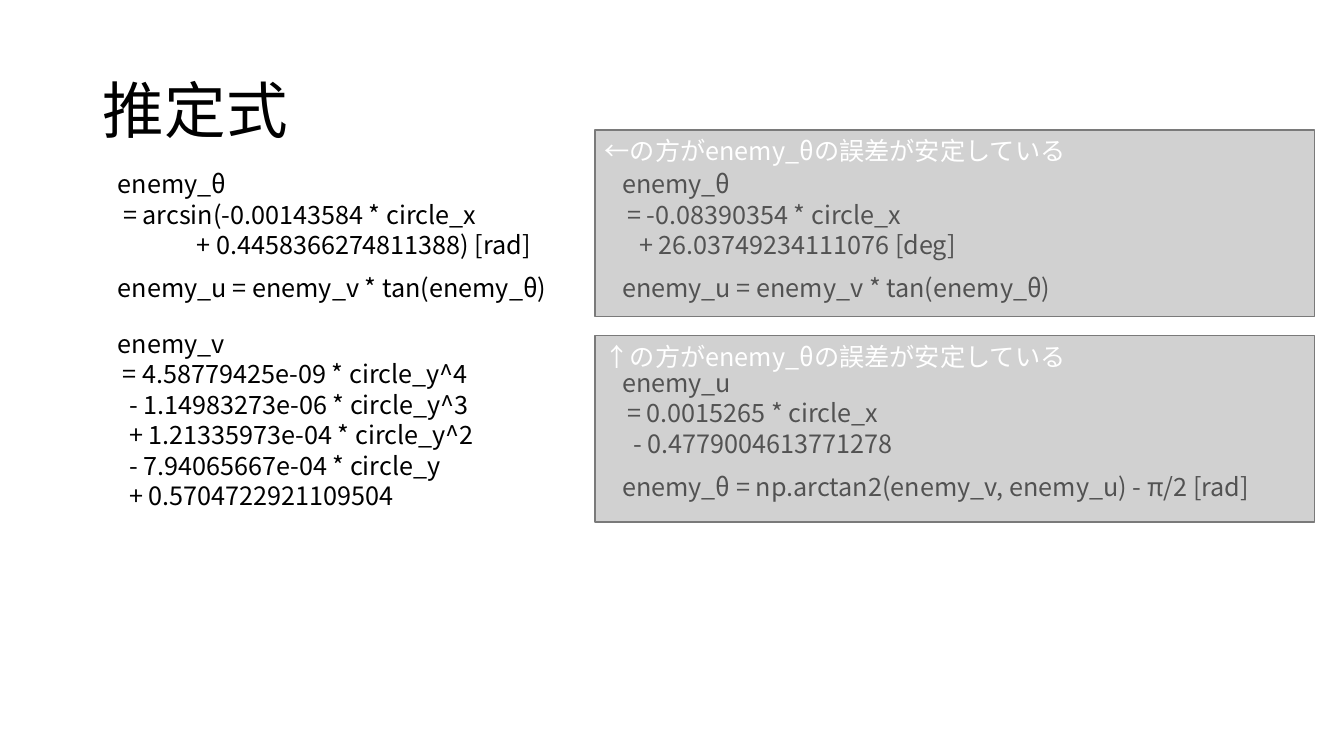
import pptx
import pptx.util
import pptx.dml.color
import pptx.enum.shapes
import pptx.enum.text
import pptx.oxml.ns
import lxml.etree

Inches = pptx.util.Inches
Pt = pptx.util.Pt
FONT = "Noto Sans CJK JP"


def color(hex_string):
    return pptx.dml.color.RGBColor.from_string(hex_string)


def add_span(para, text, size, hex_string):
    """Add a run in the slide font, for Latin and Japanese letters alike."""
    span = para.add_run()
    span.text = text
    span.font.size = Pt(size)
    span.font.color.rgb = color(hex_string)
    span.font.name = FONT
    properties = span._r.get_or_add_rPr()
    lxml.etree.SubElement(properties, pptx.oxml.ns.qn("a:ea"), typeface=FONT)


LINE_PITCH = Pt(21.8)
LEFT_COLUMN, RIGHT_COLUMN = 1.17, 6.17

deck = pptx.Presentation()
deck.slide_width = Inches(13.33)
deck.slide_height = Inches(7.5)
page = deck.slides.add_slide(deck.slide_layouts[5])

title = page.shapes.title
title.left, title.top = Inches(0.92), Inches(0.4)
title.width, title.height = Inches(11.5), Inches(1.45)
title.text_frame.auto_size = pptx.enum.text.MSO_AUTO_SIZE.NONE
title.text_frame.vertical_anchor = pptx.enum.text.MSO_ANCHOR.MIDDLE
title_para = title.text_frame.paragraphs[0]
title_para.alignment = pptx.enum.text.PP_ALIGN.LEFT
title_para.line_spacing = 0.9
add_span(title_para, "推定式", 44, "000000")

# Formulas: left, top, width, lines as (indent in inches, text)
formulas = [
    (LEFT_COLUMN, 1.67, 4.45, [
        (0, "enemy_θ"),
        (0.05, "= arcsin(-0.00143584 * circle_x"),
        (0.78, "+ 0.4458366274811388) [rad]")]),
    (LEFT_COLUMN, 2.7, 4.37, [(0, "enemy_u = enemy_v * tan(enemy_θ)")]),
    (LEFT_COLUMN, 3.25, 3.66, [
        (0, "enemy_v"),
        (0.05, "= 4.58779425e-09 * circle_y^4"),
        (0.11, "- 1.14983273e-06 * circle_y^3"),
        (0.11, "+ 1.21335973e-04 * circle_y^2"),
        (0.11, "- 7.94065667e-04 * circle_y"),
        (0.11, "+ 0.5704722921109504")]),
    (RIGHT_COLUMN, 3.64, 2.78, [
        (0, "enemy_u"),
        (0.05, "= 0.0015265 * circle_x"),
        (0.11, "- 0.4779004613771278")]),
    (RIGHT_COLUMN, 4.67, 6.67, [
        (0, "enemy_θ = np.arctan2(enemy_v, enemy_u) - π/2 [rad]")]),
    (RIGHT_COLUMN, 1.67, 3.47, [
        (0, "enemy_θ"),
        (0.05, "= -0.08390354 * circle_x"),
        (0.17, "+ 26.03749234111076 [deg]")]),
    (RIGHT_COLUMN, 2.7, 4.37, [(0, "enemy_u = enemy_v * tan(enemy_θ)")]),
]
for left, top, width, lines in formulas:
    box = page.shapes.add_textbox(Inches(left), Inches(top), Inches(width),
                                  LINE_PITCH * len(lines))
    frame = box.text_frame
    frame.margin_left = frame.margin_right = 0
    frame.margin_top = frame.margin_bottom = 0
    frame.word_wrap = False
    frame.auto_size = pptx.enum.text.MSO_AUTO_SIZE.SHAPE_TO_FIT_TEXT
    for number, (indent, text) in enumerate(lines):
        para = frame.add_paragraph() if number else frame.paragraphs[0]
        para.line_spacing = LINE_PITCH
        para._p.get_or_add_pPr().set("marL", str(Inches(indent)))
        add_span(para, text, 18, "000000")

# Translucent panels that dim the rejected formulas beneath them
for top, arrow in [(3.33, "↑"), (1.29, "←")]:
    panel = page.shapes.add_shape(pptx.enum.shapes.MSO_SHAPE.RECTANGLE,
                                  Inches(5.9), Inches(top), Inches(7.14), Inches(1.85))
    panel.shadow.inherit = False
    panel.fill.solid()
    panel.fill.fore_color.rgb = color("A5A5A5")
    fill_color = panel._element.spPr.find(".//" + pptx.oxml.ns.qn("a:srgbClr"))
    lxml.etree.SubElement(fill_color, pptx.oxml.ns.qn("a:alpha"), val="50000")
    panel.line.color.rgb = color("7A7A7A")
    panel.line.width = Pt(1)
    panel.text_frame.word_wrap = True
    panel.text_frame.vertical_anchor = pptx.enum.text.MSO_ANCHOR.TOP
    para = panel.text_frame.paragraphs[0]
    para.alignment = pptx.enum.text.PP_ALIGN.LEFT
    para.line_spacing = LINE_PITCH
    add_span(para, arrow + "の方がenemy_θの誤差が安定している", 18, "FFFFFF")

deck.save("out.pptx")
